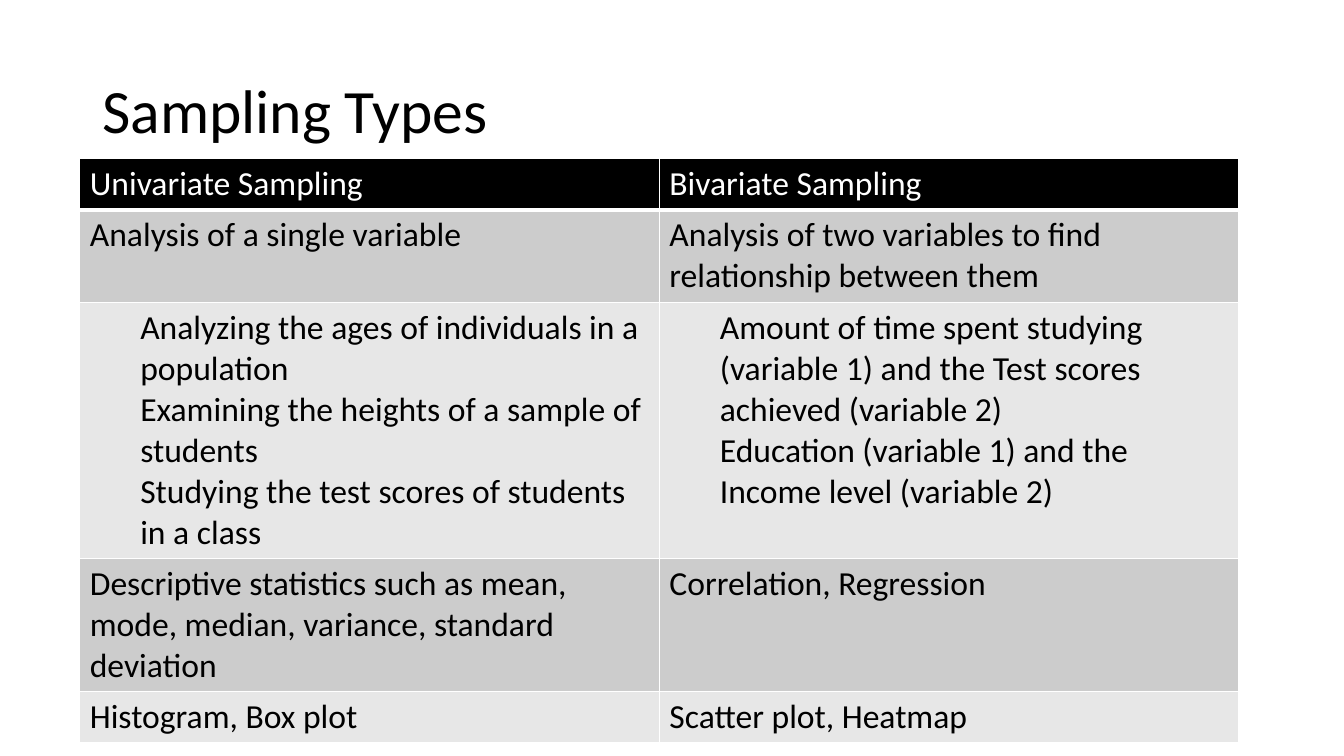
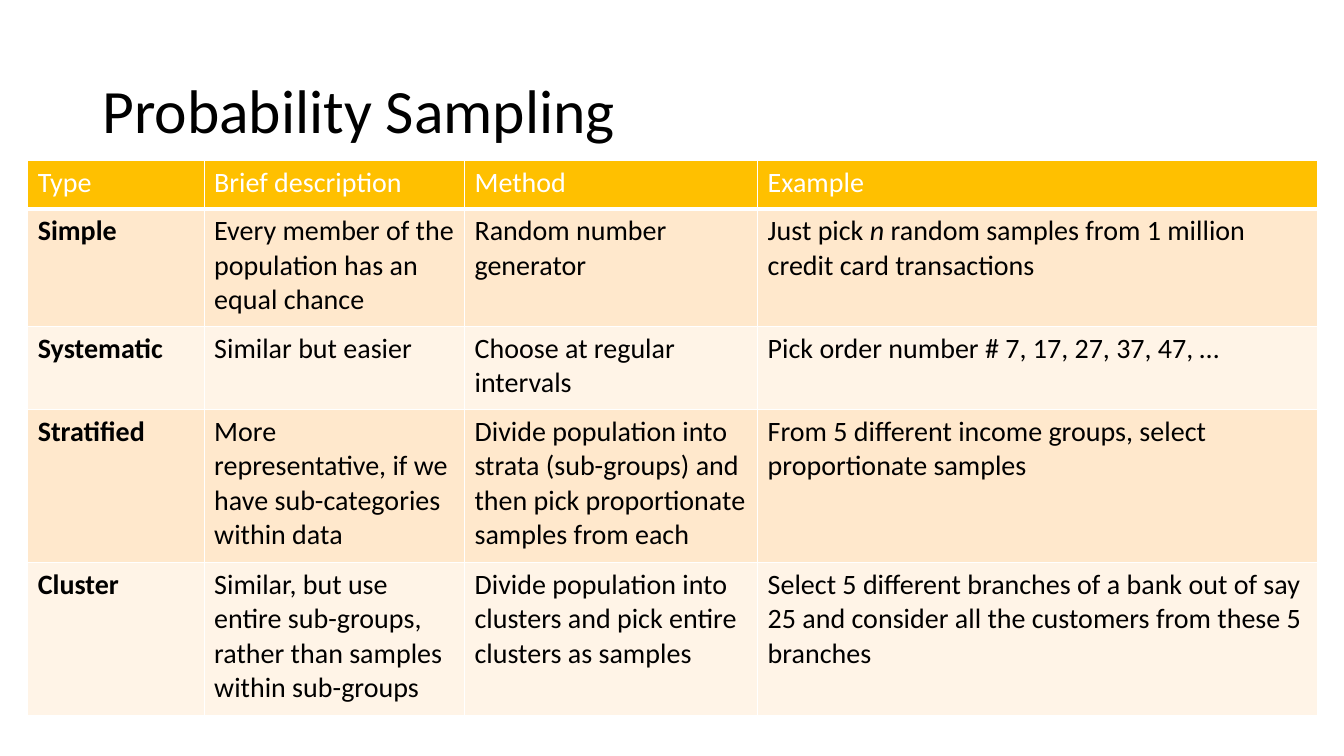
from dataclasses import dataclass

from lxml import etree
from pptx import Presentation, util as u
from pptx.dml.color import RGBColor
from pptx.enum import text
from pptx.oxml import ns

GRID_COLUMNS, GRID_ROWS = 160, 90
CELL = u.Inches(1) / 12


@dataclass(frozen=True)
class Theme:
    font: str = "Calibri"
    ink: str = "000000"
    paper: str = "FFFFFF"
    title_size: int = 44
    border: int = 1
    header_border: int = 3


@dataclass(frozen=True)
class TableStyle:
    header: str
    bands: tuple
    size: int


@dataclass(frozen=True)
class Box:
    """A region in grid columns and rows."""
    left: float
    top: float
    width: float
    height: float

    def lengths(self):
        return [grid(n) for n in (self.left, self.top, self.width, self.height)]


THEME = Theme()
GREY = TableStyle("000000", ("CCCCCC", "E7E7E7"), 24)
AMBER = TableStyle("FFC000", ("FFE8CC", "FFF4E7"), 20)
TITLE_BOX = Box(11, 4.8, 138, 17.4)

# A cell is a string, or a list of strings for indented paragraphs;
# asterisks enclose italics.
SAMPLING_TYPES = [
    ["Univariate Sampling", "Bivariate Sampling"],
    ["Analysis of a single variable",
     "Analysis of two variables to find relationship between them"],
    [["Analyzing the ages of individuals in a population",
      "Examining the heights of a sample of students",
      "Studying the test scores of students in a class"],
     ["Amount of time spent studying (variable 1) and the Test scores achieved (variable 2)",
      "Education (variable 1) and the Income level (variable 2)"]],
    ["Descriptive statistics such as mean, mode, median, variance, standard deviation",
     "Correlation, Regression"],
    ["Histogram, Box plot", "Scatter plot, Heatmap"],
]

PROBABILITY_SAMPLING = [
    ["Type", "Brief description", "Method", "Example"],
    ["Simple", "Every member of the population has an equal chance",
     "Random number generator",
     "Just pick *n *random samples from 1 million credit card transactions"],
    ["Systematic", "Similar but easier", "Choose at regular intervals",
     "Pick order number # 7, 17, 27, 37, 47, …"],
    ["Stratified", "More representative, if we have sub-categories within data",
     "Divide population into strata (sub-groups) and then pick proportionate samples from each",
     "From 5 different income groups, select proportionate samples"],
    ["Cluster",
     "Similar, but use entire sub-groups, rather than samples within sub-groups",
     "Divide population into clusters and pick entire clusters as samples",
     "Select 5 different branches of a bank out of say 25 and consider all the "
     "customers from these 5 branches"],
]


def grid(count):
    return u.Emu(round(count * CELL))


def set_font(paragraph, size, color, bold=False):
    font = paragraph.font
    font.name, font.size, font.bold = THEME.font, u.Pt(size), bold
    font.color.rgb = RGBColor.from_string(color)


def add_title(slide, box, title):
    frame = slide.shapes.add_textbox(*box.lengths()).text_frame
    frame.word_wrap = True
    frame.vertical_anchor = text.MSO_ANCHOR.MIDDLE
    paragraph = frame.paragraphs[0]
    paragraph.text = title
    paragraph.line_spacing = 0.9
    set_font(paragraph, THEME.title_size, THEME.ink)


def set_borders(cell, top, bottom):
    properties = cell._tc.get_or_add_tcPr()
    widths = {"L": THEME.border, "R": THEME.border, "T": top, "B": bottom}
    for side, width in widths.items():
        line = etree.SubElement(properties, ns.qn(f"a:ln{side}"), w=str(u.Pt(width)))
        fill = etree.SubElement(line, ns.qn("a:solidFill"))
        etree.SubElement(fill, ns.qn("a:srgbClr"), val=THEME.paper)


def write_cell(cell, content, size, color, bold):
    indented = isinstance(content, list)
    frame = cell.text_frame
    for index, line in enumerate(content if indented else [content]):
        paragraph = frame.add_paragraph() if index else frame.paragraphs[0]
        set_font(paragraph, size, color, bold)
        if indented:
            paragraph.level = 1
            paragraph._p.get_or_add_pPr().set("marL", str(u.Inches(0.5)))
        for part, words in enumerate(line.split("*")):
            run = paragraph.add_run()
            run.text = words
            if part % 2:
                run.font.italic = True


def add_banded_table(slide, box, style, rows, widths, heights, bold_first=False):
    """Widths and heights are in grid units; the first row is the header."""
    table = slide.shapes.add_table(len(rows), len(widths), *box.lengths()).table
    table.horz_banding = False
    for column, width in zip(table.columns, widths):
        column.width = grid(width)
    for row, height in zip(table.rows, heights):
        row.height = grid(height)
    for r, contents in enumerate(rows):
        header = r == 0
        fill = style.header if header else style.bands[(r - 1) % 2]
        for c, content in enumerate(contents):
            cell = table.cell(r, c)
            set_borders(cell,
                        top=THEME.header_border if r == 1 else THEME.border,
                        bottom=THEME.header_border if header else THEME.border)
            cell.fill.solid()
            cell.fill.fore_color.rgb = RGBColor.from_string(fill)
            write_cell(cell, content, style.size,
                       THEME.paper if header else THEME.ink,
                       bold_first and c == 0 and not header)


def add_table_slide(presentation, title, box, style, rows, widths, heights, **options):
    slide = presentation.slides.add_slide(presentation.slide_layouts[6])
    add_title(slide, TITLE_BOX, title)
    add_banded_table(slide, box, style, rows, widths, heights, **options)


def main():
    presentation = Presentation()
    presentation.slide_width = grid(GRID_COLUMNS)
    presentation.slide_height = grid(GRID_ROWS)
    add_table_slide(presentation, "Sampling Types", Box(9.5, 18.9, 138, 69.5), GREY,
                    SAMPLING_TYPES, [69, 69], [6.1, 11, 30.5, 15.8, 6.1])
    add_table_slide(presentation, "Probability Sampling", Box(3.3, 19.1, 153.6, 66.1),
                    AMBER, PROBABILITY_SAMPLING, [21, 31, 34.9, 66.7],
                    [5.8, 14, 9.9, 18.2, 18.2], bold_first=True)
    presentation.save("out.pptx")


if __name__ == "__main__":
    main()
